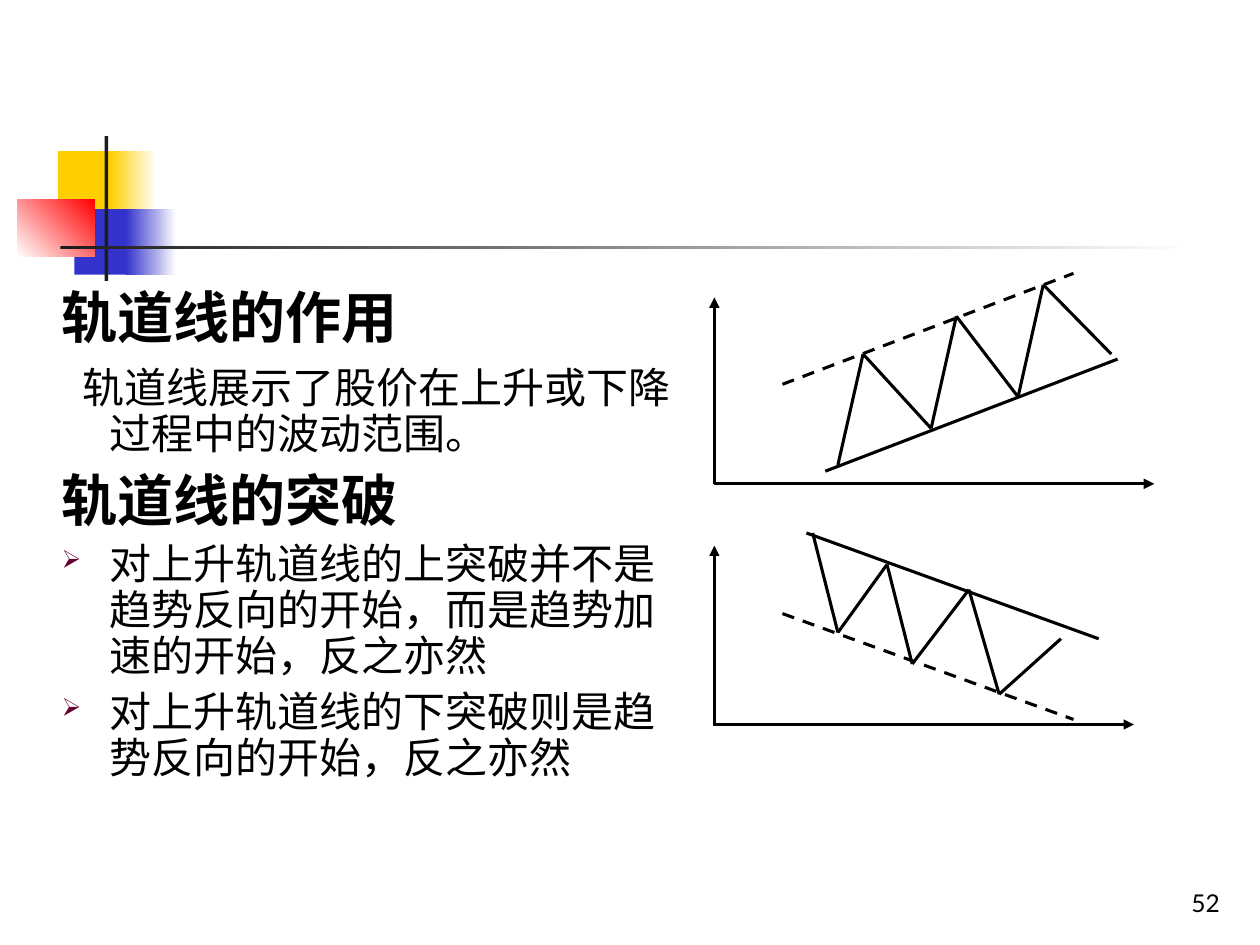
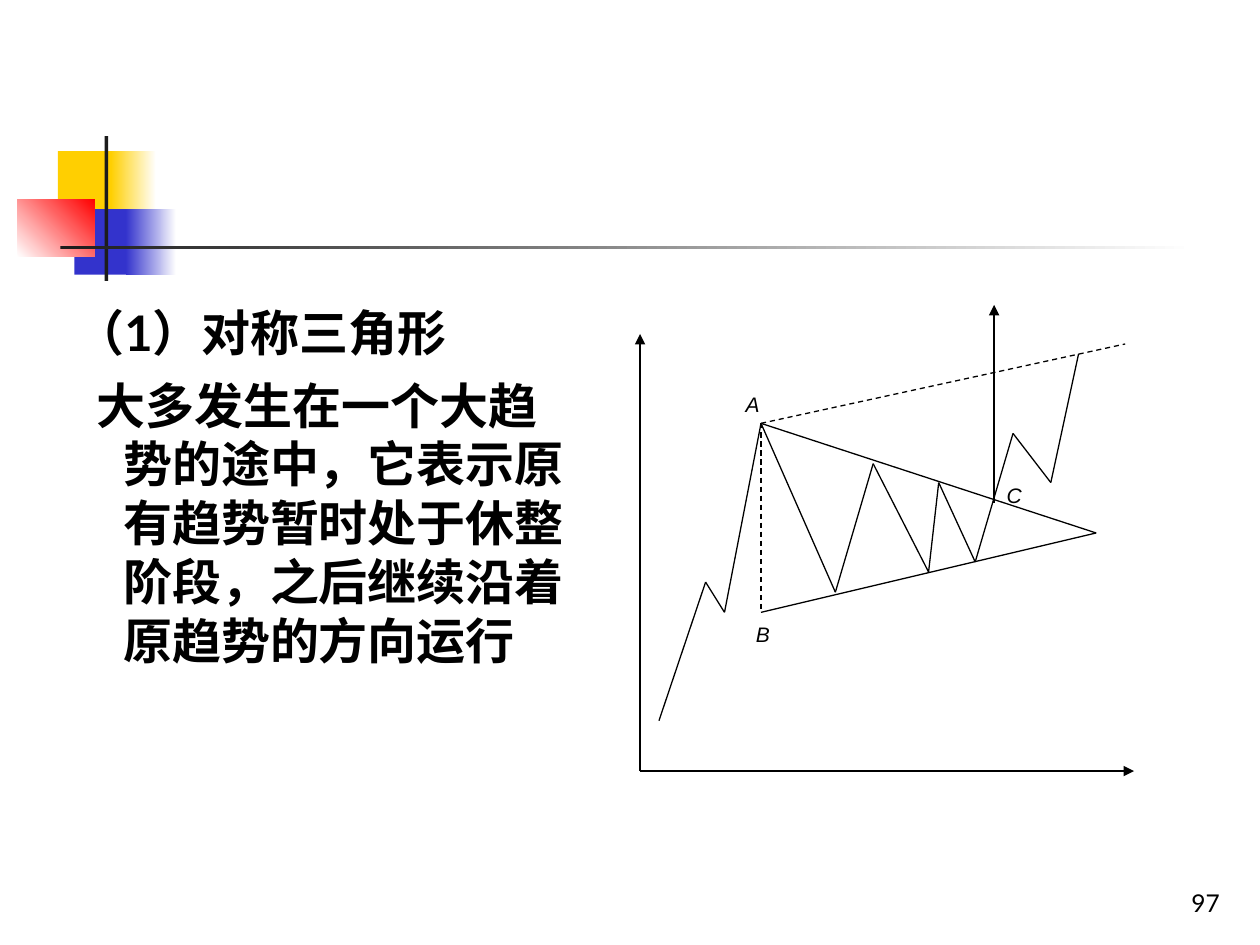
from itertools import pairwise

from lxml.etree import SubElement
from pptx import Presentation
from pptx.dml.color import RGBColor
from pptx.enum.dml import MSO_LINE
from pptx.enum.shapes import MSO_CONNECTOR, MSO_SHAPE
from pptx.enum.text import MSO_ANCHOR, PP_ALIGN
from pptx.oxml.ns import qn
from pptx.util import Inches, Pt

BLACK, WHITE, YELLOW, BLUE = "000000", "FFFFFF", "FFCF01", "3333CC"
RED, CHARCOAL, BULLET = "FF0000", "1C1C1C", "660033"
CJK, LATIN, LABEL = "Noto Sans CJK SC", "Lato", "Arial"
HANG = 0.38

# (left, top, width, height), colours, gradient angle
ORNAMENT = [
    ((0.46, 1.2, 0.48, 0.52), [YELLOW], 0),
    ((0.88, 1.2, 0.36, 0.52), [YELLOW, WHITE], 0),
    ((0.59, 1.66, 0.46, 0.52), [BLUE], 0),
    ((1, 1.66, 0.4, 0.52), [BLUE, WHITE], 0),
    ((0.14, 1.58, 0.61, 0.46), [WHITE, RED], 45),
    ((0.83, 1.08, 0.03, 1.15), [CHARCOAL], 0),
    ((0.48, 1.95, 9, 0.03), [CHARCOAL, WHITE], 0),
]

# Paragraph styles: size, bold, exact line pitch, first-line indent, bullet, font
HEADING = dict(size=32, bold=True, pitch=35, first=-HANG, bullet=None, font=CJK)
BODY = dict(size=24, bold=False, pitch=26.3, first=-0.21, bullet=None, font=CJK)
POINT = dict(BODY, first=-HANG, bullet="➢")
PATTERN = dict(size=28, bold=True, pitch=33.6, first=-HANG, bullet=None, font=LATIN)
PATTERN_BODY = dict(PATTERN, first=-0.21, font=CJK)

# Strokes are (kind, points); kind is "solid", "dash" or "arrow"
CHANNEL = {
    "number": "52",
    "box": (0.39, 2.24, 5.07, 4.47),
    "text": [  # text, style, space before
        ("轨道线的作用", HEADING, 0),
        ("轨道线展示了股价在上升或下降过程中的波动范围。", BODY, 9),
        ("轨道线的突破", HEADING, 8),
        ("对上升轨道线的上突破并不是趋势反向的开始，而是趋势加速的开始，反之亦然", POINT, 5),
        ("对上升轨道线的下突破则是趋势反向的开始，反之亦然", POINT, 6),
    ],
    "weight": 1.75,
    "strokes": [
        ("arrow", [(5.67, 3.84), (5.67, 2.36)]),
        ("arrow", [(5.67, 3.84), (9.16, 3.84)]),
        ("solid", [(6.55, 3.74), (8.87, 2.85)]),
        ("dash", [(6.21, 3.05), (8.52, 2.17)]),
        ("solid", [(6.65, 3.69), (6.85, 2.81), (7.39, 3.4), (7.59, 2.51),
                   (8.08, 3.15), (8.28, 2.26), (8.82, 2.81)]),
        ("arrow", [(5.67, 5.76), (5.67, 4.33)]),
        ("arrow", [(5.67, 5.75), (9, 5.75)]),
        ("solid", [(6.4, 4.23), (8.72, 5.07)]),
        ("dash", [(6.21, 4.87), (8.52, 5.71)]),
        ("solid", [(6.45, 4.23), (6.65, 5.02), (7.04, 4.48), (7.24, 5.27),
                   (7.69, 4.68), (7.93, 5.51), (8.42, 5.07)]),
    ],
    "labels": [],
}

A, B, APEX = (6.04, 3.36), (6.04, 4.86), (8.7, 4.23)
TRIANGLE = {
    "number": "97",
    "box": (0.5, 2.35, 4.16, 4.35),
    "text": [
        ("（1）对称三角形", PATTERN, 0),
        ("大多发生在一个大趋势的途中，它表示原有趋势暂时处于休整阶段，之后继续沿着原趋势的方向运行",
         PATTERN_BODY, 8),
    ],
    "weight": 0.75,
    "strokes": [
        ("arrow", [(5.08, 6.12), (5.08, 2.65)]),
        ("arrow", [(5.08, 6.12), (9, 6.12)]),
        ("solid", [A, APEX, B]),
        ("dash", [A, B]),
        ("dash", [A, (8.93, 2.73)]),
        ("solid", [(5.23, 5.72), (5.6, 4.62), (5.75, 4.86), A, (6.63, 4.7),
                   (6.93, 3.68), (7.37, 4.54), (7.45, 3.83), (7.74, 4.46),
                   (8.04, 3.44), (8.34, 3.83), (8.56, 2.81)]),
        ("arrow", [(7.89, 3.99), (7.89, 2.42)]),
    ],
    "labels": [("A", (5.82, 3.06, 0.44, 0.3)), ("B", (5.9, 4.88, 0.37, 0.3)),
               ("C", (7.89, 3.78, 0.37, 0.3))],
}


def rgb(code):
    return RGBColor.from_string(code)


def inches(values):
    return [Inches(v) for v in values]


def add_ornament(s):
    for box, colours, angle in ORNAMENT:
        sp = s.shapes.add_shape(MSO_SHAPE.RECTANGLE, *inches(box))
        sp.shadow.inherit = False
        sp.line.fill.background()
        if len(colours) == 1:
            sp.fill.solid()
            sp.fill.fore_color.rgb = rgb(colours[0])
            continue
        sp.fill.gradient()
        sp.fill.gradient_angle = angle
        for stop, colour in zip(sp.fill.gradient_stops, colours):
            stop.color.rgb = rgb(colour)


def add_box(s, box):
    tf = s.shapes.add_textbox(*inches(box)).text_frame
    tf.word_wrap = True
    return tf


def format_runs(p, font, size, bold=False, italic=False):
    for r in p.runs:
        r.font.name, r.font.size = font, Pt(size)
        r.font.bold, r.font.italic = bold, italic
        r.font.color.rgb = rgb(BLACK)
        SubElement(r.font._element, qn("a:ea"), typeface=CJK)


def set_indent(p, first, bullet):
    pPr = p._p.get_or_add_pPr()
    pPr.set("marL", str(Inches(HANG)))
    pPr.set("indent", str(Inches(first)))
    if bullet:
        SubElement(SubElement(pPr, qn("a:buClr")), qn("a:srgbClr"), val=BULLET)
        SubElement(pPr, qn("a:buSzPct"), val="60000")
        SubElement(pPr, qn("a:buChar"), char=bullet)
    else:
        SubElement(pPr, qn("a:buNone"))


def add_body(s, box, paragraphs):
    tf = add_box(s, box)
    for i, (text, style, before) in enumerate(paragraphs):
        p = tf.paragraphs[0] if i == 0 else tf.add_paragraph()
        p.text = text
        p.line_spacing = Pt(style["pitch"])
        p.space_before = Pt(before)
        set_indent(p, style["first"], style["bullet"])
        format_runs(p, style["font"], style["size"], style["bold"])


def add_stroke(s, kind, points, weight):
    """Join the points with straight segments."""
    for start, end in pairwise(points):
        line = s.shapes.add_connector(MSO_CONNECTOR.STRAIGHT, *inches(start + end))
        line.line.color.rgb = rgb(BLACK)
        line.line.width = Pt(weight)
        if kind == "dash":
            line.line.dash_style = MSO_LINE.DASH
        elif kind == "arrow":
            SubElement(line.line._get_or_add_ln(), qn("a:tailEnd"), type="triangle")
        SubElement(line._element.spPr, qn("a:effectLst"))


def add_number(s, number):
    tf = add_box(s, (7.7, 6.83, 2.08, 0.5))
    tf.vertical_anchor = MSO_ANCHOR.BOTTOM
    tf.text = number
    p = tf.paragraphs[0]
    p.alignment = PP_ALIGN.RIGHT
    format_runs(p, LATIN, 14)


def add_slide(prs, content):
    s = prs.slides.add_slide(prs.slide_layouts[6])
    add_ornament(s)
    add_number(s, content["number"])
    add_body(s, content["box"], content["text"])
    for kind, points in content["strokes"]:
        add_stroke(s, kind, points, content["weight"])
    for text, box in content["labels"]:
        tf = add_box(s, box)
        tf.text = text
        format_runs(tf.paragraphs[0], LABEL, 12, italic=True)


def main():
    prs = Presentation()
    prs.slide_width, prs.slide_height = Inches(10), Inches(7.5)
    for content in (CHANNEL, TRIANGLE):
        add_slide(prs, content)
    prs.save("out.pptx")


if __name__ == "__main__":
    main()
